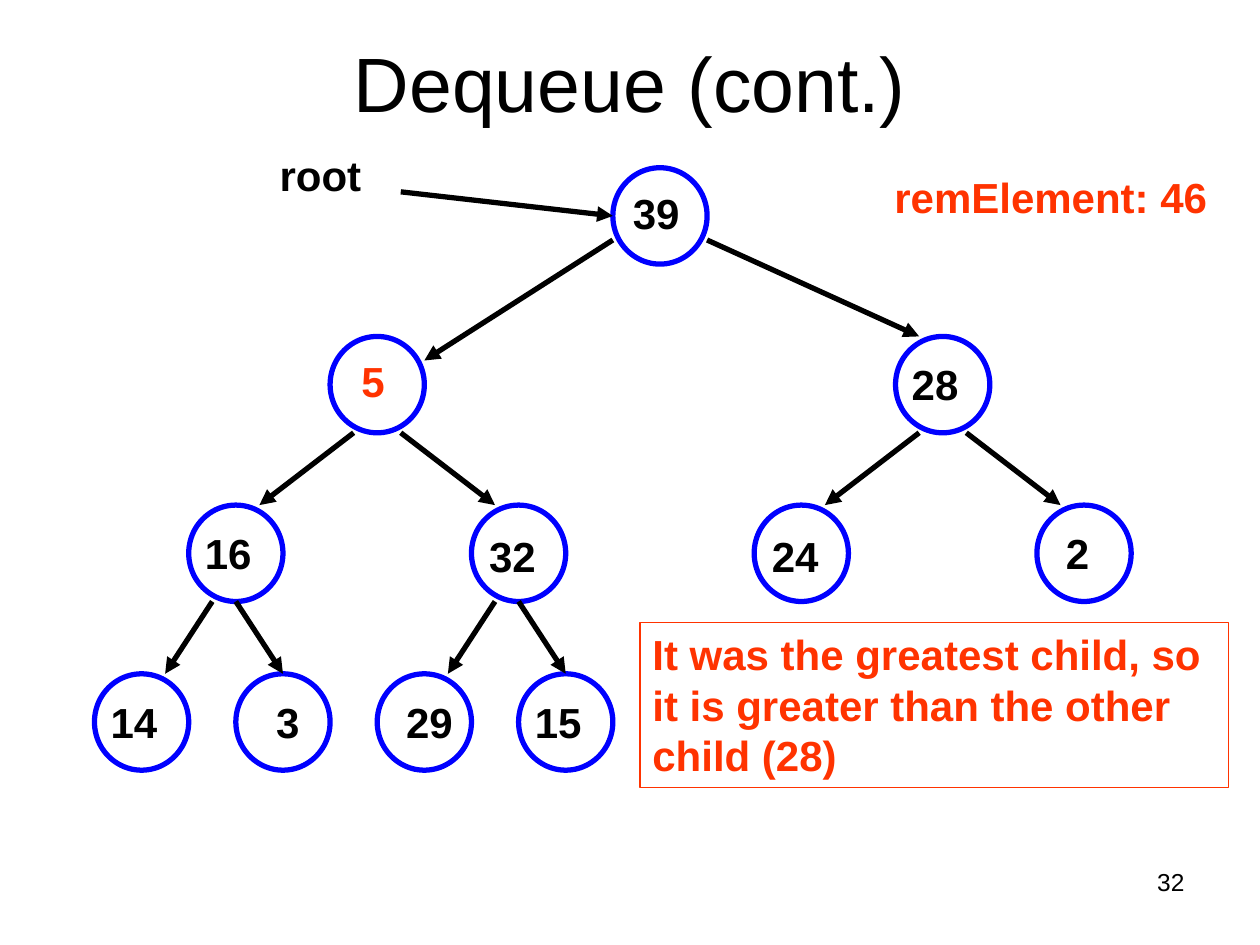
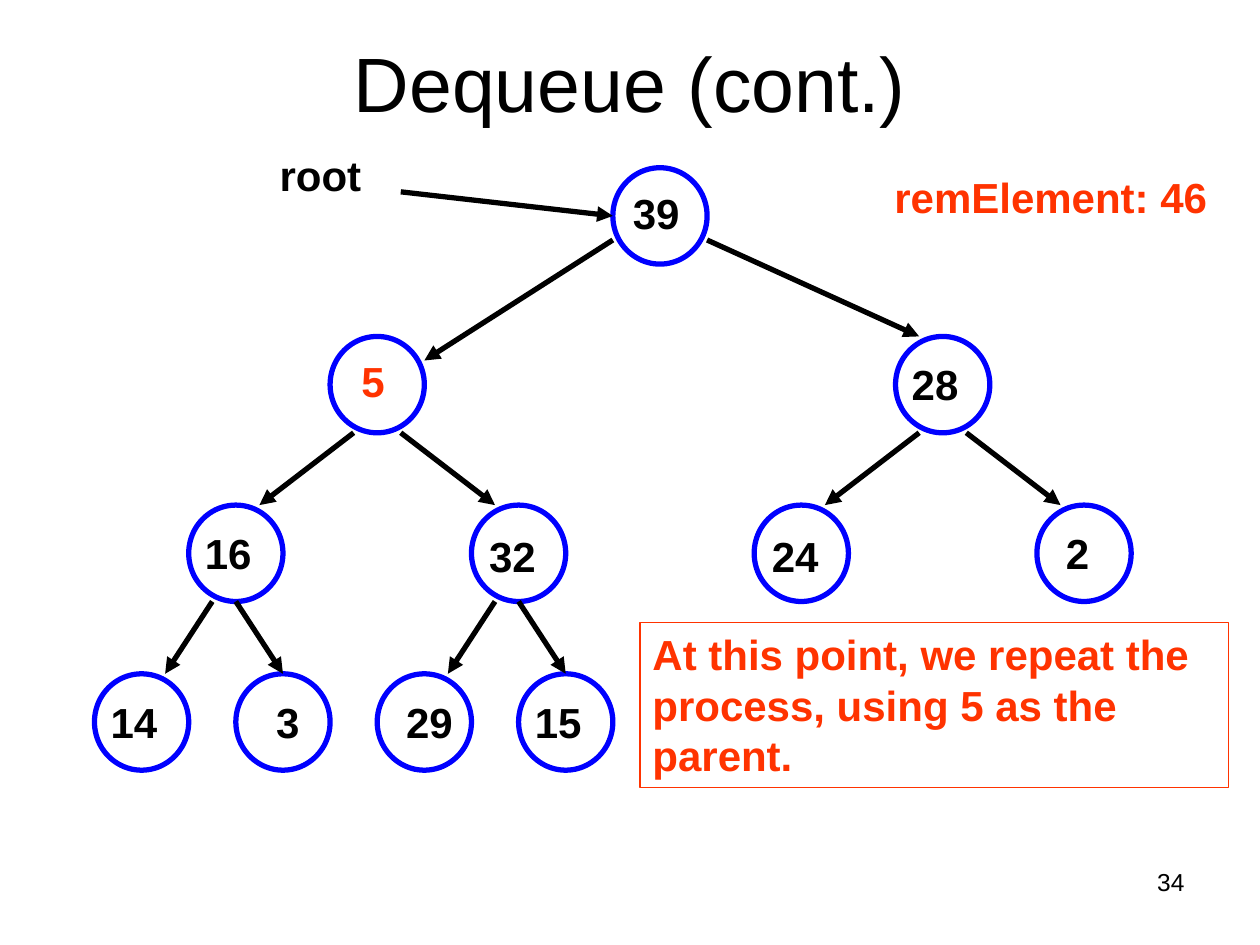
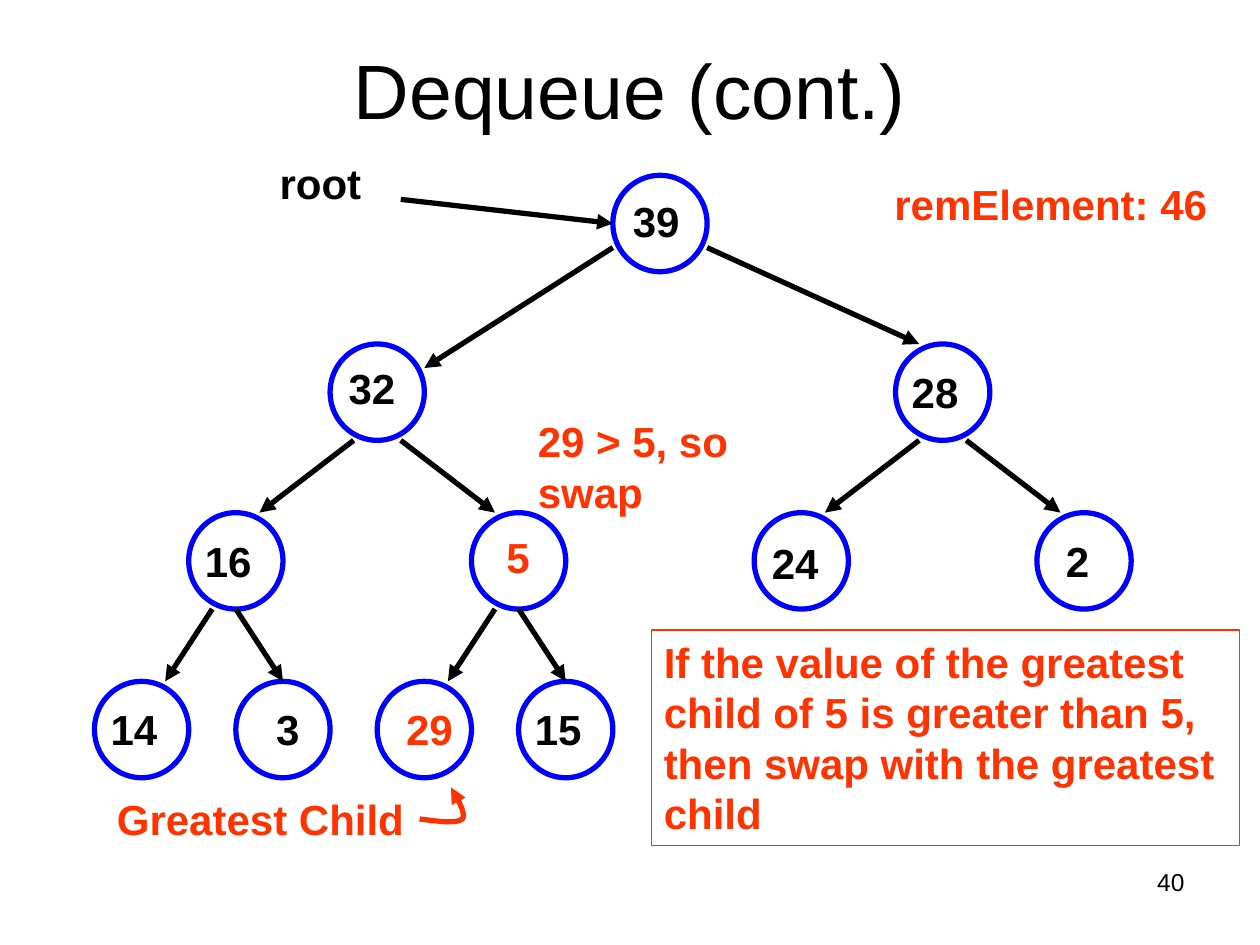
from lxml import etree
from pptx import Presentation
from pptx import util as u
from pptx.dml.color import RGBColor
from pptx.enum import shapes, text
from pptx.oxml.ns import qn

BLACK = RGBColor(0x00, 0x00, 0x00)
WHITE = RGBColor(0xFF, 0xFF, 0xFF)
BLUE = RGBColor(0x00, 0x00, 0xFF)
RED = RGBColor(0xFF, 0x33, 0x00)

# Places and sizes are percentages of the slide; the tree has its own grid.
LEFT, TOP, COL, ROW = 7.5, 17.75, 3.74, 2.55
SIZE = 2, 4    # a node, in columns and rows
STEP = 7       # rows from one level to the next

# spot: column, level, number, label offset in columns and rows
NODES = {
    "root": (11, 0, "39", 0.16, 0.57),
    "left": (5, 1, "5", 0.4, 0.52),
    "right": (17, 1, "28", 0.08, 0.68),
    "left left": (2, 2, "16", 0.08, 0.68),
    "left right": (8, 2, "32", 0.11, 0.78),
    "right left": (14, 2, "24", 0.11, 0.78),
    "right right": (20, 2, "2", 0.35, 0.68),
    "leaf 1": (0, 3, "14", 0.08, 0.68),
    "leaf 2": (3, 3, "3", 0.59, 0.68),
    "leaf 3": (6, 3, "29", 0.35, 0.68),
    "leaf 4": (9, 3, "15", 0.08, 0.68),
}
SWAPPED = {
    "left": (5, 1, "32", 0.13, 0.52),
    "left right": (8, 2, "5", 0.48, 0.52),
}
# start and end of each arrow, in columns and rows
ARROWS = [
    (6.5, 1, 11, 2),
    (11, 3, 7, 8), (13, 3, 17.5, 7),
    (5.5, 11, 3.5, 14), (6.5, 11, 8.5, 14),
    (17.5, 11, 15.5, 14), (18.5, 11, 20.5, 14),
    (2.5, 18, 1.5, 21), (3, 18, 4, 21),
    (8.5, 18, 7.5, 21), (9, 18, 10, 21),
]
# two Bezier curves, the second starting where the first ends
HOOK = [(33.3, 86.67), (34.8, 86.93), (36.2, 87.2), (36.7, 86.67),
        (37.1, 86.13), (36, 83.87), (35.8, 83.33)]


def bezier(knots, t):
    s = 1 - t
    weights = s ** 3, 3 * s * s * t, 3 * s * t * t, t ** 3
    return tuple(sum(w * k[i] for w, k in zip(weights, knots))
                 for i in (0, 1))


class Deck:
    plain = {"name": "Arial", "size": u.Pt(24), "bold": True}

    def __init__(self):
        self.prs = Presentation()
        self.prs.slide_width = u.Inches(10)
        self.prs.slide_height = u.Inches(7.5)
        self.slide, self.drop = None, 0

    def place(self, x, y):
        return (int(self.prs.slide_width * x / 100),
                int(self.prs.slide_height * y / 100))

    def area(self, x, y, w, h):
        return self.place(x, y + self.drop) + self.place(w, h)

    def cell(self, col, row):
        return LEFT + col * COL, TOP + row * ROW

    def letter(self, shape, words, color, align=text.PP_ALIGN.LEFT,
               anchor=text.MSO_ANCHOR.TOP, **style):
        """Set the words of a shape and format them."""
        frame = shape.text_frame
        frame.text = words
        look = {"word_wrap": True, "vertical_anchor": anchor,
                "auto_size": text.MSO_AUTO_SIZE.NONE}
        for key, value in look.items():
            setattr(frame, key, value)
        para = frame.paragraphs[0]
        para.alignment = align
        font = para.runs[0].font
        for key, value in {**self.plain, **style}.items():
            setattr(font, key, value)
        font.color.rgb = color

    def start(self, title, page, drop=0):
        """Add a slide whose content sits lower by drop percent."""
        self.slide = self.prs.slides.add_slide(self.prs.slide_layouts[5])
        self.drop = 0
        self.label((71.7, 91.07, 23.3, 6.93), page, BLACK,
                   align=text.PP_ALIGN.RIGHT, size=u.Pt(14), bold=False)
        self.drop = drop
        head = self.slide.shapes.title
        spot = self.area(5, 0.27, 90, 16.67)
        for key, value in zip(("left", "top", "width", "height"), spot):
            setattr(head, key, value)
        self.letter(head, title, BLACK, text.PP_ALIGN.CENTER,
                    text.MSO_ANCHOR.MIDDLE, size=u.Pt(44), bold=False)

    def label(self, box, words, color=RED, **style):
        shape = self.slide.shapes.add_textbox(*self.area(*box))
        self.letter(shape, words, color, **style)

    def outline(self, shape, color, width):
        shape.line.color.rgb = color
        shape.line.width = u.Pt(width)

    def form(self, kind, box, color, width):
        shape = self.slide.shapes.add_shape(kind, *self.area(*box))
        shape.shadow.inherit = False
        self.outline(shape, color, width)
        return shape

    def note(self, box, words):
        shape = self.form(shapes.MSO_SHAPE.RECTANGLE, box, RED, 0.75)
        shape.fill.background()
        self.letter(shape, words, RED)

    def node(self, col, level, number, dx, dy, color):
        row = level * STEP
        size = SIZE[0] * COL, SIZE[1] * ROW
        ring = self.form(shapes.MSO_SHAPE.OVAL, self.cell(col, row) + size,
                         BLUE, 3)
        ring.fill.solid()
        ring.fill.fore_color.rgb = WHITE
        self.label(self.cell(col + dx, row + dy) + (9.4, 10.13),
                   number, color)

    def tip(self, shape):
        """Put an arrowhead at the end of an outlined shape."""
        line = shape._element.spPr.find(qn("a:ln"))
        etree.SubElement(line, qn("a:tailEnd"), type="triangle")

    def arrow(self, x1, y1, x2, y2):
        ends = [self.place(x, y + self.drop)
                for x, y in (self.cell(x1, y1), self.cell(x2, y2))]
        line = self.slide.shapes.add_connector(
            shapes.MSO_CONNECTOR.STRAIGHT, *ends[0], *ends[1])
        self.outline(line, BLACK, 3)
        self.tip(line)
        etree.SubElement(line._element.spPr, qn("a:effectLst"))

    def hook(self, knots, steps=8):
        dots = [self.place(*bezier(knots[i:i + 4], n / steps))
                for i in range(0, len(knots) - 1, 3)
                for n in range(1, steps + 1)]
        pen = self.slide.shapes.build_freeform(*self.place(*knots[0]))
        pen.add_line_segments(dots, close=False)
        curve = pen.convert_to_shape()
        curve.shadow.inherit = False
        curve.fill.background()
        self.outline(curve, RED, 3)
        self.tip(curve)

    def tree(self, nodes, marked):
        for spot, node in nodes.items():
            self.node(*node, RED if spot in marked else BLACK)
        for ends in ARROWS:
            self.arrow(*ends)
        self.label((21.2, 15.2, 12.5, 7.6), "root", BLACK)
        self.label((70, 17.47, 28.3, 6.67), "remElement: 46")


def main():
    deck = Deck()
    title = "Dequeue (cont.)"
    notes = {
        "32": "It was the greatest child, so it is greater than "
              "the other child (28)",
        "34": "At this point, we repeat the process, using 5 as the parent.",
    }
    for page, words in notes.items():
        deck.start(title, page)
        deck.tree(NODES, {"left"})
        deck.note((50.8, 65.87, 46.7, 17.47), words)

    deck.start(title, "40", drop=0.8)
    deck.tree({**NODES, **SWAPPED}, {"left right", "leaf 3"})
    deck.note((51.7, 65.87, 46.7, 22.8),
              "If the value of the greatest child of 5 is greater than 5, "
              "then swap with the greatest child")
    deck.label((8.3, 82.53, 31.7, 6.67), "Greatest Child")
    deck.hook(HOOK)
    deck.label((41.7, 42.53, 20.8, 12), "29 > 5, so swap")
    deck.prs.save("out.pptx")


if __name__ == "__main__":
    main()
